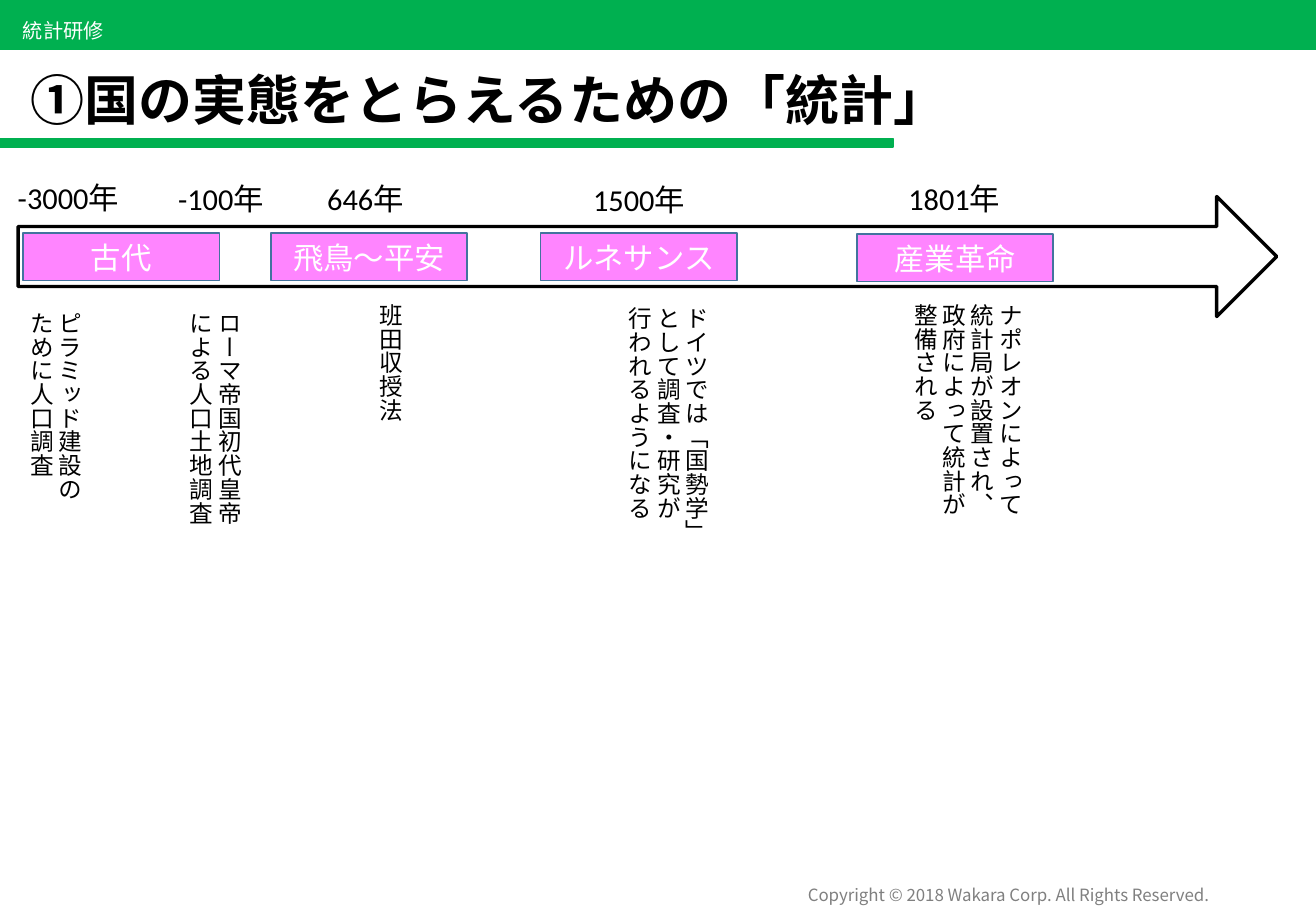
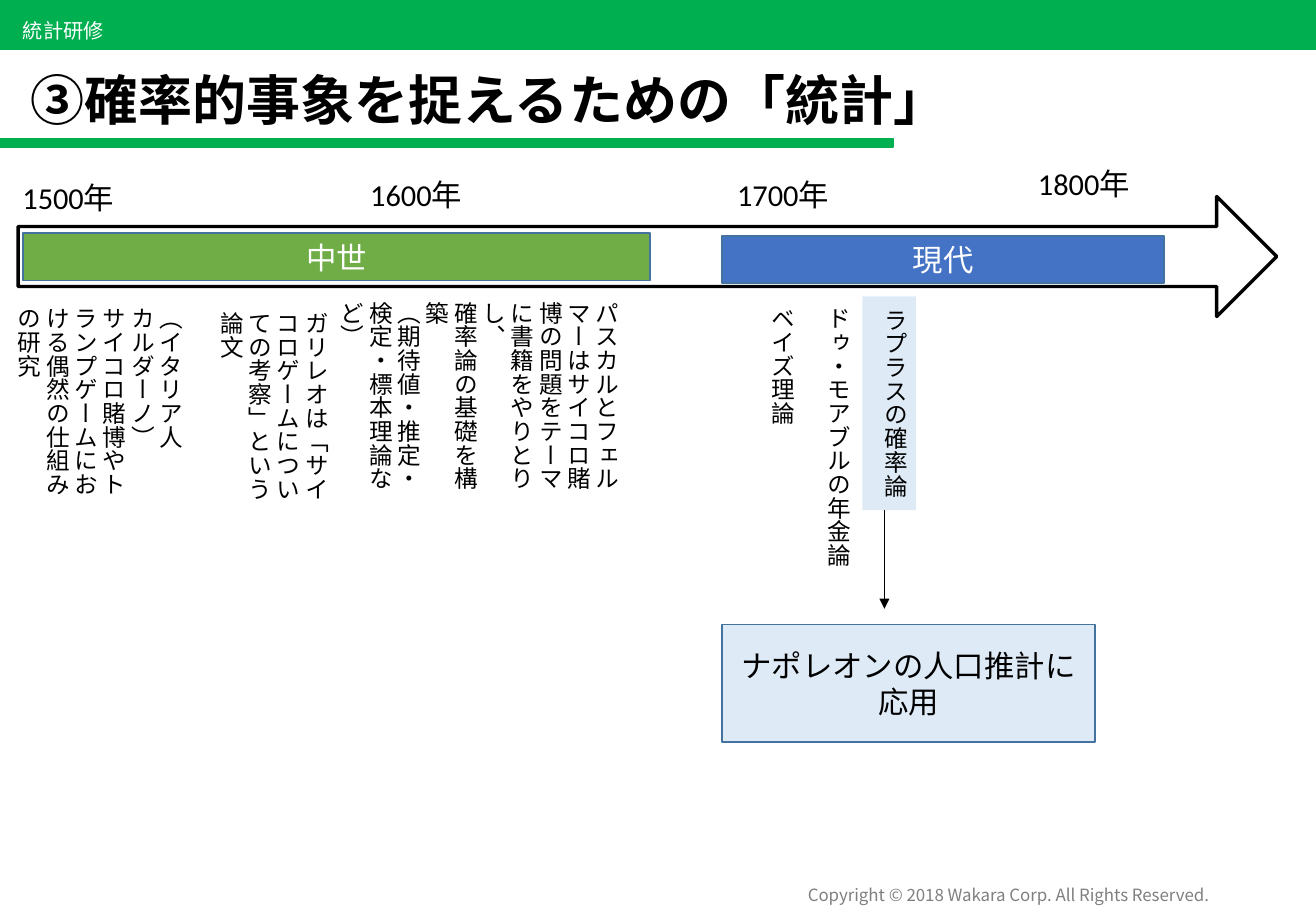
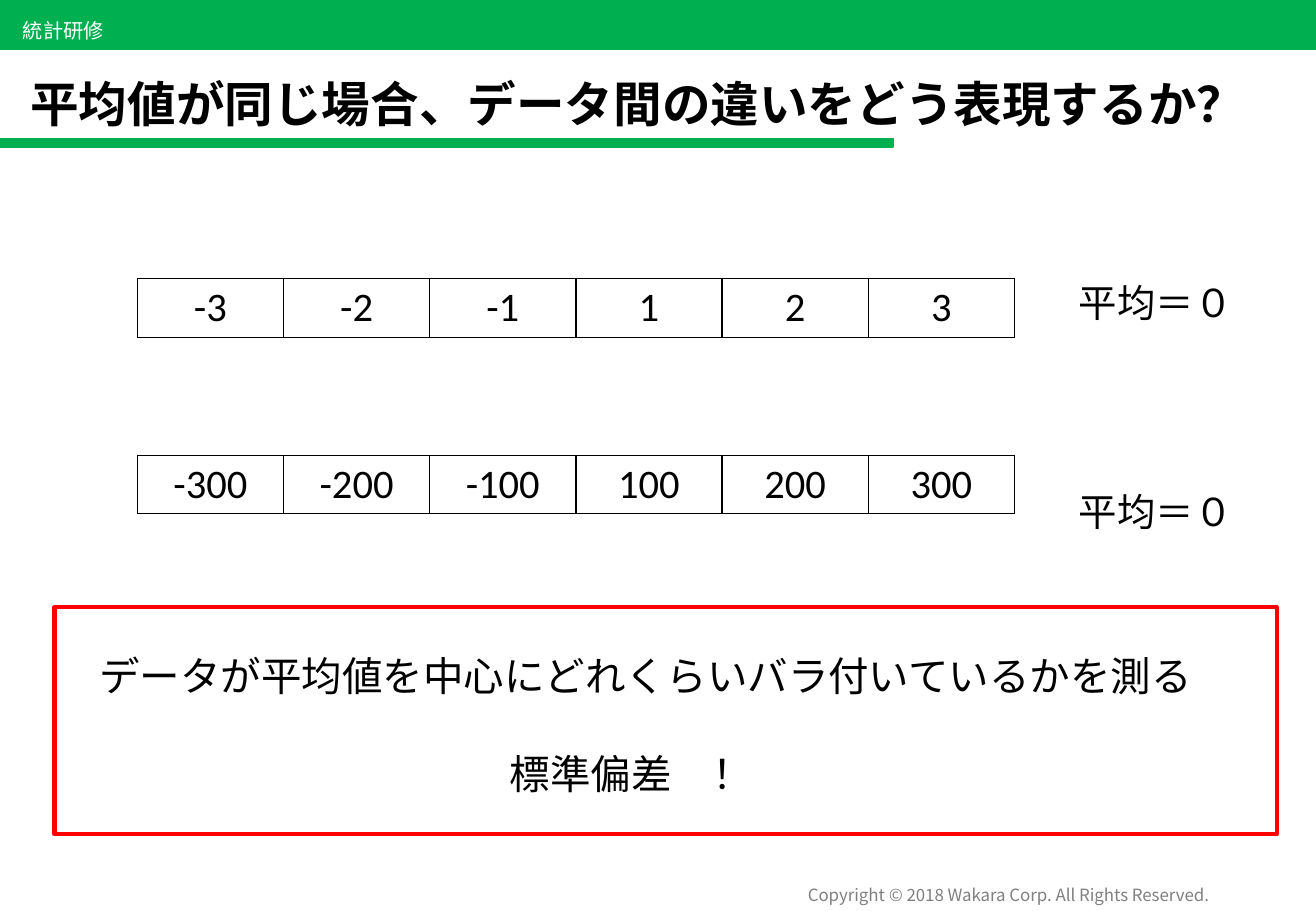
import pptx
import pptx.util
import pptx.dml.color
import pptx.oxml
import pptx.oxml.ns
import pptx.enum.shapes
import pptx.enum.text
from lxml import etree

Cm, Pt = pptx.util.Cm, pptx.util.Pt
SHAPE = pptx.enum.shapes.MSO_SHAPE
ALIGN = pptx.enum.text.PP_ALIGN
ANCHOR = pptx.enum.text.MSO_ANCHOR
FIT = pptx.enum.text.MSO_AUTO_SIZE
qn = pptx.oxml.ns.qn

# Shared look
LATIN, JAPANESE = "Calibri", "Noto Sans CJK JP"
GREEN, BLACK, WHITE, GREY = "00B050", "000000", "FFFFFF", "808080"
PINK, PALE_BLUE, EDGE, RED = "FF85FF", "DEEBF7", "43739E", "FF0000"
MEDIEVAL, MODERN = "70AD47", "4472C4"
ERA_W, ERA_H = 4.11, 0.99
YEAR_W = 2.8


def rgb(value):
    return pptx.dml.color.RGBColor.from_string(value)


def place(x, y, w, h):
    return Cm(x), Cm(y), Cm(w), Cm(h)


def format_text(tf, size, color=BLACK, font=JAPANESE, align=ALIGN.LEFT, bold=False):
    for p in tf.paragraphs:
        p.alignment = align
        for r in p.runs:
            r.font.size, r.font.bold = Pt(size), bold
            r.font.color.rgb = rgb(color)
            r.font.name = font
            ea = etree.SubElement(r.font._element, qn("a:ea"))
            ea.set("typeface", JAPANESE)


# Element kinds
def add_box(sl, at, fill=None, line=None, width=1, kind=SHAPE.RECTANGLE):
    s = sl.shapes.add_shape(kind, *place(*at))
    s.shadow.inherit = False
    if fill:
        s.fill.solid()
        s.fill.fore_color.rgb = rgb(fill)
    else:
        s.fill.background()
    if line:
        s.line.color.rgb = rgb(line)
        s.line.width = Pt(width)
    else:
        s.line.fill.background()
    return s


def add_text(sl, text, at, size, wrap=True, anchor=ANCHOR.TOP, **style):
    s = sl.shapes.add_textbox(*place(*at))
    tf = s.text_frame
    tf.word_wrap = wrap
    tf.vertical_anchor = anchor
    tf.text = text
    format_text(tf, size, **style)
    return s


def add_label_box(sl, text, at, fill, color=WHITE):
    s = add_box(sl, at, fill, EDGE)
    s.text_frame.text = text
    format_text(s.text_frame, 18, color, LATIN, ALIGN.CENTER)


def add_year(sl, text, center, top):
    s = add_text(sl, text, (center - YEAR_W / 2, top, YEAR_W, ERA_H), 18,
                 anchor=ANCHOR.MIDDLE, font=LATIN, align=ALIGN.CENTER)
    s.text_frame.margin_left = s.text_frame.margin_right = 0


def add_vertical_text(sl, text, at, fill=None):
    s = add_text(sl, text, at, 14)
    s.text_frame.auto_size = FIT.SHAPE_TO_FIT_TEXT
    s.element.txBody.bodyPr.set("vert", "eaVert")
    if fill:
        s.fill.solid()
        s.fill.fore_color.rgb = rgb(fill)


def add_arrow(sl, x, top, bottom):
    c = sl.shapes.add_connector(pptx.enum.shapes.MSO_CONNECTOR.STRAIGHT,
                                Cm(x), Cm(top), Cm(x), Cm(bottom))
    c.line.color.rgb = rgb(BLACK)
    c.line.width = Pt(0.5)
    etree.SubElement(c.line._get_or_add_ln(), qn("a:tailEnd")).set("type", "triangle")
    etree.SubElement(c.element.spPr, qn("a:effectLst"))


def add_value_row(sl, values, top):
    frame = sl.shapes.add_table(1, len(values), *place(2.87, top, 18.34, 1.17))
    table = frame.table
    table.first_row = table.horz_banding = False
    for cell, value in zip(table.iter_cells(), values):
        cell.margin_left = cell.margin_right = Cm(0.2)
        cell.margin_top = cell.margin_bottom = Cm(0.1)
        cell.text = str(value)
        format_text(cell.text_frame, 24, font=LATIN, align=ALIGN.CENTER)
        tcPr = cell._tc.get_or_add_tcPr()
        for side in ("a:lnL", "a:lnR", "a:lnT", "a:lnB"):
            ln = etree.SubElement(tcPr, qn(side))
            ln.set("w", str(Pt(1)))
            solid = etree.SubElement(ln, qn("a:solidFill"))
            etree.SubElement(solid, qn("a:srgbClr")).set("val", BLACK)
        cell.fill.background()


# Bands and footer, kept on the layout
def decorate_layout(layout, sl):
    for ph in list(layout.placeholders):
        if ph.placeholder_format.idx:
            ph.element.getparent().remove(ph.element)
    parts = [
        add_box(sl, (0, 0, 27.51, 1.02), GREEN, GREEN),
        add_box(sl, (0, 2.9, 18.67, 0.18), GREEN, GREEN),
        add_text(sl, "Copyright © 2018 Wakara Corp. All Rights Reserved.",
                 (15.77, 18.36, 9.75, 0.69), 10, wrap=False, anchor=ANCHOR.MIDDLE,
                 color=GREY, align=ALIGN.RIGHT),
        add_text(sl, "統計研修", (0.23, 0.25, 2.24, 0.76), 12, wrap=False,
                 anchor=ANCHOR.MIDDLE, color=WHITE),
    ]
    for s in parts:
        layout.shapes.element.append(s.element)


def set_title(sl, text, size=32):
    s = sl.shapes.title
    s.left, s.top, s.width, s.height = place(0.38, 1.02, 26.31, 1.88)
    tf = s.text_frame
    tf.text = text
    tf.auto_size = FIT.NONE
    tf.vertical_anchor = ANCHOR.BOTTOM
    tf.paragraphs[0].line_spacing = 0.9
    format_text(tf, size, bold=True)


def draw_timeline(sl, years, eras, events):
    add_box(sl, (0.38, 4.11, 26.31, 2.51), line=BLACK, width=2, kind=SHAPE.RIGHT_ARROW)
    for year in years:
        add_year(sl, *year)
    for text, left, top, width, fill in eras:
        add_label_box(sl, text, (left, top, width, ERA_H), fill)
    for text, *at in events:
        add_vertical_text(sl, text, at)


# Slides
def state_statistics(sl):
    set_title(sl, "①国の実態をとらえるための「統計」")
    years = [("-3000年", 1.43, 3.63), ("-100年", 4.62, 3.66), ("646年", 7.64, 3.66),
             ("1500年", 13.36, 3.68), ("1801年", 19.95, 3.66)]
    eras = [("古代", 0.48, 4.88, ERA_W, PINK), ("飛鳥〜平安", 5.66, 4.88, ERA_W, PINK),
            ("ルネサンス", 11.3, 4.88, ERA_W, PINK), ("産業革命", 17.91, 4.9, ERA_W, PINK)]
    events = [
        ("ピラミッド建設の\nために人口調査", 0.18, 6.27, 1.7, 4.95),
        ("ローマ帝国初代皇帝\nによる人口土地調査", 3.51, 6.27, 1.7, 6.48),
        ("班田収授法", 7.47, 6.1, 1.12, 4.95),
        ("ドイツでは「国勢学」\nとして調査・研究が\n行われるようになる", 12.67, 6.17, 2.31, 6.48),
        ("ナポレオンによって\n統計局が設置され、政府によって統計が整備される",
         18.64, 6.1, 2.9, 5.13),
    ]
    draw_timeline(sl, years, eras, events)


def probability_statistics(sl):
    set_title(sl, "③確率的事象を捉えるための「統計」")
    years = [("1500年", 1.43, 3.63), ("1600年", 8.7, 3.56),
             ("1700年", 16.37, 3.58), ("1800年", 22.66, 3.35)]
    eras = [("中世", 0.48, 4.88, 13.11, MEDIEVAL), ("現代", 15.09, 4.93, 9.25, MODERN)]
    events = [
        ("（イタリア人\nカルダーノ）\nサイコロ賭博やトランプゲームにおける偶然の仕組みの研究",
         0.48, 6.17, 3.51, 4.95),
        ("ガリレオは「サイコロゲームについての考察」という論文", 4.72, 6.27, 2.31, 4.95),
        ("パスカルとフェルマーはサイコロ賭博の問題をテーマに書籍をやりとりし、\n"
         "確率論の基礎を構築\n（期待値・推定・検定・標本理論など）", 8.41, 6.05, 4.7, 4.95),
        ("ベイズ理論", 15.67, 6.17, 1.12, 4.95),
        ("ドゥ・モアブルの年金論", 16.84, 6.17, 1.12, 6.55),
    ]
    draw_timeline(sl, years, eras, events)
    # Laplace and the application of his theory
    add_vertical_text(sl, "ラプラスの確率論", (18.03, 6.2, 1.12, 4.47), PALE_BLUE)
    add_arrow(sl, 18.49, 10.67, 12.73)
    add_label_box(sl, "ナポレオンの人口推計に応用", (15.09, 13.06, 7.8, 2.46), PALE_BLUE, BLACK)


def same_mean(sl):
    set_title(sl, "平均値が同じ場合、データ間の違いをどう表現するか？", 28.8)
    values = [-3, -2, -1, 1, 2, 3]
    for scale, row_top, mean_top in ((1, 5.82, 5.72), (100, 9.52, 10.08)):
        add_value_row(sl, [v * scale for v in values], row_top)
        add_text(sl, "平均＝０", (22.3, mean_top, 4.52, 1.22), 22.8)
    # Conclusion in a red frame
    s = add_text(sl, "データが平均値を中心にどれくらいバラ付いているかを測る\n標準偏差　！",
                 (1.83, 13.49, 24.1, 3.33), 24)
    p = s.text_frame.paragraphs[1]
    p.space_before = Pt(29)
    p._p.get_or_add_pPr().set("marL", str(Cm(8.58)))
    add_box(sl, (1.14, 12.7, 25.55, 4.75), line=RED, width=2.5)


def main():
    prs = pptx.Presentation()
    prs.slide_width, prs.slide_height = Cm(27.51), Cm(19.05)
    layout = prs.slide_layouts[5]
    slides = [prs.slides.add_slide(layout) for _ in range(3)]
    decorate_layout(layout, slides[0])
    for draw, sl in zip((state_statistics, probability_statistics, same_mean), slides):
        draw(sl)
    prs.save("out.pptx")


if __name__ == "__main__":
    main()
